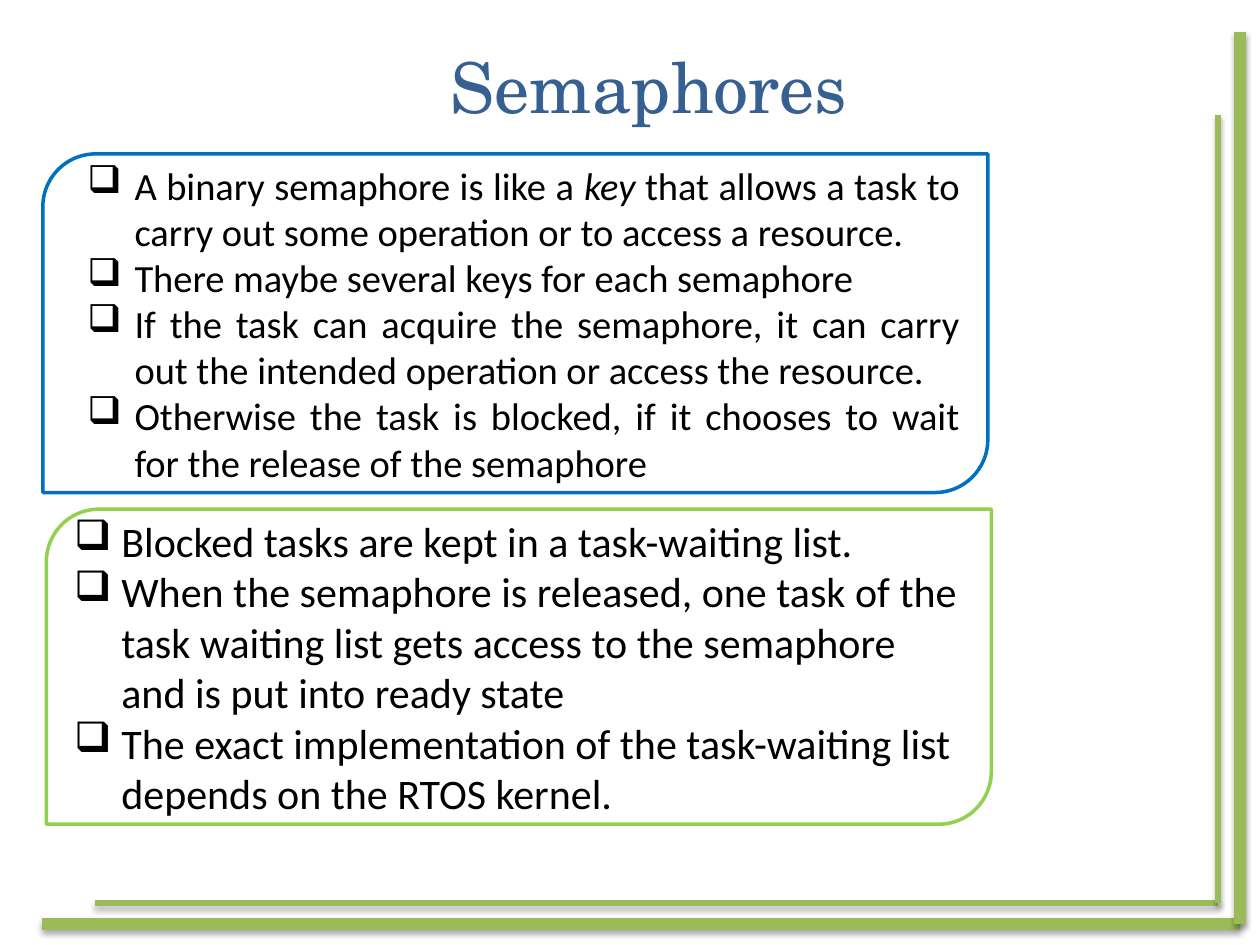
"""Build the Semaphores slide with two bulleted panels and a corner frame."""
from dataclasses import dataclass

from lxml import etree
from pptx import Presentation
from pptx.dml.color import RGBColor
from pptx.enum.shapes import MSO_CONNECTOR, MSO_SHAPE
from pptx.enum.text import MSO_ANCHOR, PP_ALIGN
from pptx.oxml.ns import qn
from pptx.util import Pt

STRAIGHT = MSO_CONNECTOR.STRAIGHT
PANEL = MSO_SHAPE.ROUND_2_DIAG_RECTANGLE
MIDDLE = MSO_ANCHOR.MIDDLE
LEFT, CENTER, JUSTIFY = PP_ALIGN.LEFT, PP_ALIGN.CENTER, PP_ALIGN.JUSTIFY


@dataclass(frozen=True)
class Theme:
    """Colours, fonts and type sizes of the slide."""
    frame: RGBColor = RGBColor(0x9B, 0xBB, 0x59)
    title: RGBColor = RGBColor(0x37, 0x60, 0x92)
    key: RGBColor = RGBColor(0x00, 0x70, 0xC0)
    waiting: RGBColor = RGBColor(0x92, 0xD0, 0x50)
    paper: RGBColor = RGBColor(0xFF, 0xFF, 0xFF)
    ink: RGBColor = RGBColor(0x00, 0x00, 0x00)
    title_font: str = "TeX Gyre Schola"
    body_font: str = "Calibri"
    title_size: float = 40
    key_size: float = 22
    waiting_size: float = 24


THEME = Theme()
BULLET = "\u2751"
HANGING = 27

FRAME = [
    ((54, 516), (696, 516), 3),
    ((24, 528), (708.5, 528), 6.75),
    ((708.5, 528), (708.5, 18), 6.75),
    ((696, 516), (696, 66), 3),
]

KEY_POINTS = [
    [("A binary semaphore is like a ", False), ("key ", True),
     ("that allows a task to carry out some operation or to access a resource.", False)],
    [("There maybe several keys for each semaphore", False)],
    [("If the task can acquire the semaphore, it can carry out the intended "
      "operation or access the resource.", False)],
    [("Otherwise the task is blocked, if it chooses to wait for the release "
      "of the semaphore", False)],
]

WAITING_POINTS = [
    [("Blocked tasks are kept in a task-waiting list.", False)],
    [("When the semaphore is released, one task of the task waiting list gets "
      "access to the semaphore and is put into ready state", False)],
    [("The exact implementation of the task-waiting list depends on the RTOS "
      "kernel.", False)],
]


def set_font(font, name, size, color):
    """Set typeface, size and colour of a font."""
    font.name = name
    font.size = Pt(size)
    font.color.rgb = color


def add_shadow(sp):
    """Give a connector a soft shadow that falls straight down."""
    effects = etree.SubElement(sp._element.spPr, qn("a:effectLst"))
    shadow = etree.SubElement(effects, qn("a:outerShdw"), blurRad=str(Pt(3.1)),
                              dist=str(Pt(1.8)), dir="5400000", rotWithShape="0")
    color = etree.SubElement(shadow, qn("a:srgbClr"), val=str(THEME.ink))
    etree.SubElement(color, qn("a:alpha"), val="35000")


def add_frame_line(s, start, end, width):
    """Draw one line of the corner frame."""
    sp = s.shapes.add_connector(STRAIGHT, *map(Pt, start + end))
    sp.line.color.rgb = THEME.frame
    sp.line.width = Pt(width)
    add_shadow(sp)


def add_title(s, text):
    """Add the centred slide title."""
    sp = s.shapes.add_textbox(Pt(36), Pt(21.6), Pt(648), Pt(90))
    tf = sp.text_frame
    tf.word_wrap = True
    tf.margin_left = Pt(29)
    p = tf.paragraphs[0]
    p.text = text
    p.alignment = CENTER
    set_font(p.font, THEME.title_font, THEME.title_size, THEME.title)


def set_bullet(p, margin):
    """Give a paragraph a hanging box bullet."""
    p_pr = p._p.get_or_add_pPr()
    p_pr.set("marL", str(Pt(margin)))
    p_pr.set("indent", str(-Pt(HANGING)))
    etree.SubElement(p_pr, qn("a:buChar"), char=BULLET)


def add_panel(s, box, color, points, size, align=LEFT, level=0, margin=HANGING,
              corner=0.1667):
    """Add an outlined panel that holds a bulleted list."""
    sp = s.shapes.add_shape(PANEL, *map(Pt, box))
    sp.adjustments[0] = corner
    sp.shadow.inherit = False
    sp.fill.solid()
    sp.fill.fore_color.rgb = THEME.paper
    sp.line.color.rgb = color
    sp.line.width = Pt(2)
    tf = sp.text_frame
    tf.word_wrap = True
    tf.vertical_anchor = MIDDLE
    for i, runs in enumerate(points):
        p = tf.add_paragraph() if i else tf.paragraphs[0]
        p.alignment = align
        p.level = level
        set_bullet(p, margin)
        set_font(p.font, THEME.body_font, size, THEME.ink)
        for text, italic in runs:
            r = p.add_run()
            r.text = text
            if italic:
                r.font.italic = True


def main():
    """Build and save the slide."""
    prs = Presentation()
    prs.slide_width, prs.slide_height = Pt(720), Pt(540)
    s = prs.slides.add_slide(prs.slide_layouts[6])
    for start, end, width in FRAME:
        add_frame_line(s, start, end, width)
    add_title(s, "Semaphores")
    add_panel(s, (26.5, 291, 540, 180), THEME.waiting, WAITING_POINTS,
              THEME.waiting_size)
    add_panel(s, (24.5, 88, 540, 193.5), THEME.key, KEY_POINTS, THEME.key_size,
              align=JUSTIFY, level=1, margin=36.5, corner=0.156)
    prs.save("out.pptx")


main()
